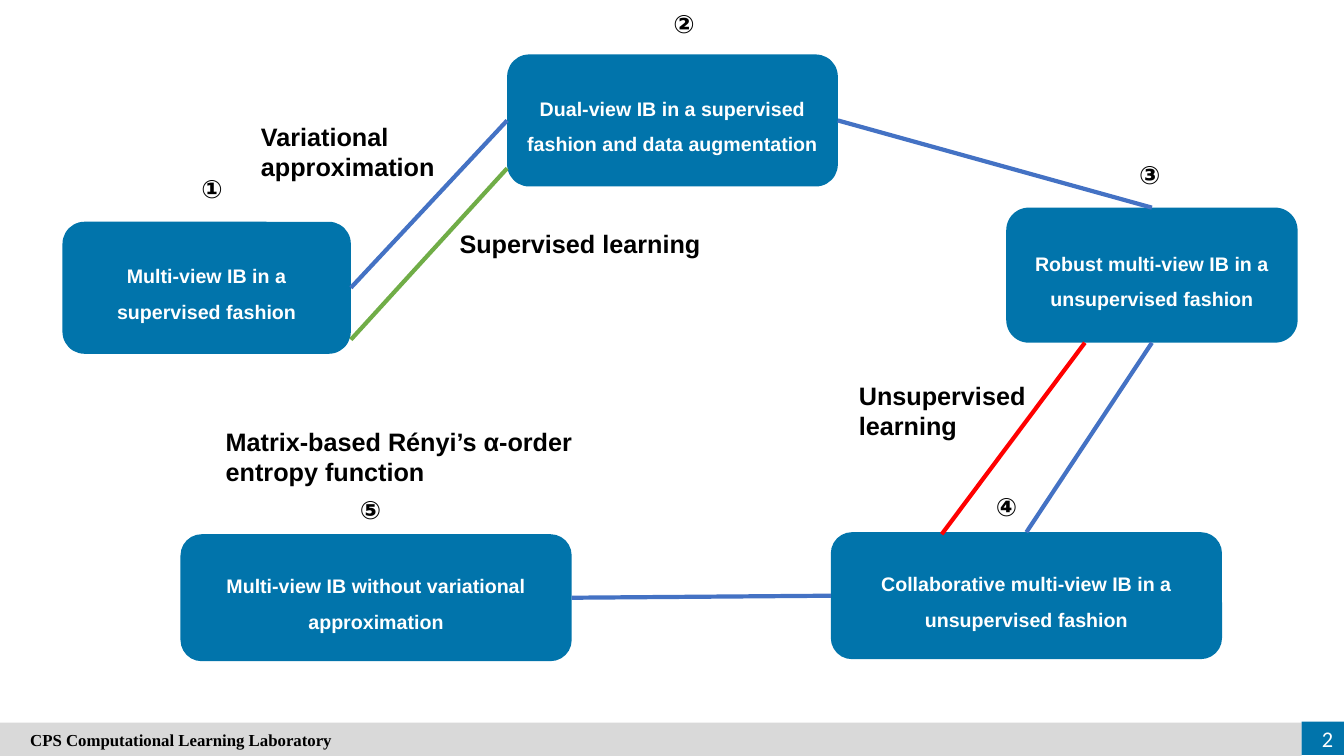
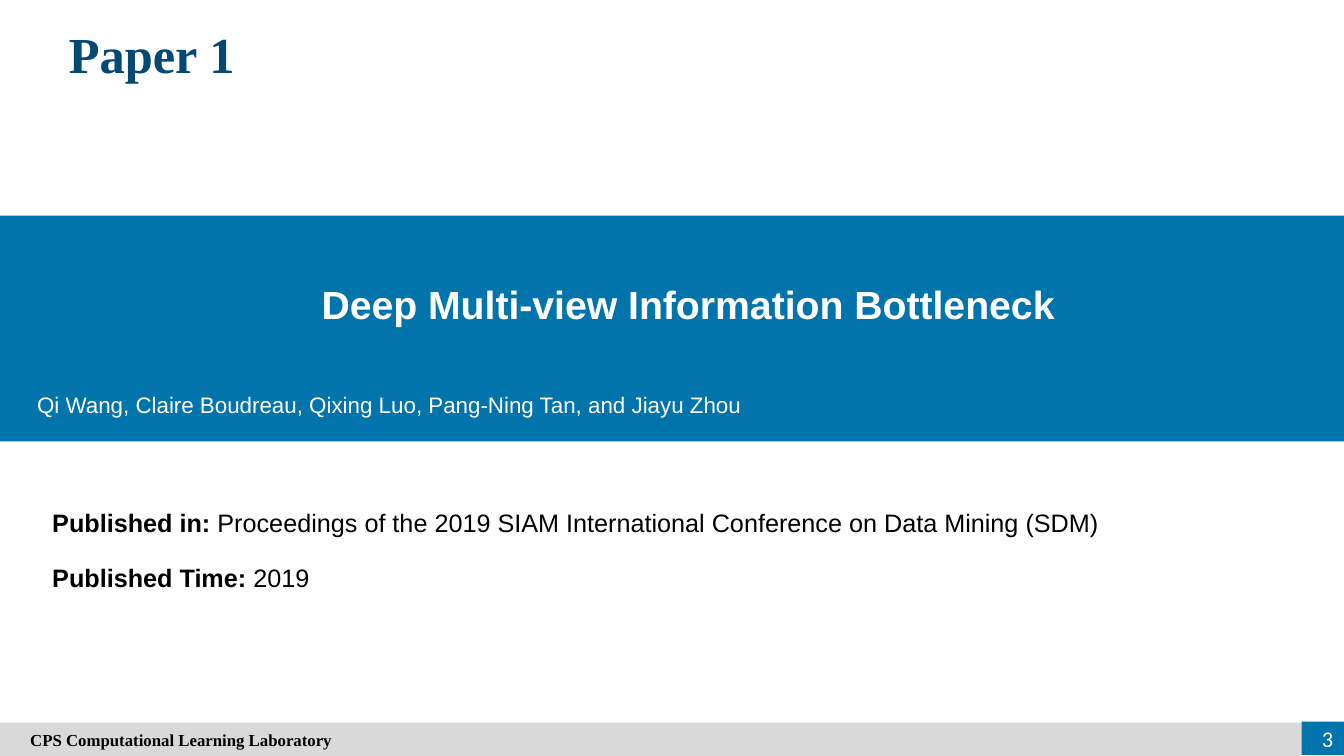
from dataclasses import dataclass
from pptx import Presentation
from pptx.dml.color import RGBColor
from pptx.enum.shapes import MSO_CONNECTOR, MSO_SHAPE
from pptx.enum.text import MSO_ANCHOR, PP_ALIGN
from pptx.oxml.ns import qn
from pptx.util import Pt
from lxml import etree

PX = 9144
WIDE, HIGH = 1333, 750
RECT, ROUND = MSO_SHAPE.RECTANGLE, MSO_SHAPE.ROUNDED_RECTANGLE
LINE = MSO_CONNECTOR.STRAIGHT
LEFT, MID, RIGHT = PP_ALIGN.LEFT, PP_ALIGN.CENTER, PP_ALIGN.RIGHT
TOP, CENTER = MSO_ANCHOR.TOP, MSO_ANCHOR.MIDDLE
NORTH, WEST, SOUTH, EAST = range(4)


@dataclass(frozen=True)
class Theme:
    blue: str = "0174AB"
    navy: str = "044875"
    gray: str = "D9D9D9"
    white: str = "FFFFFF"
    black: str = "000000"
    link: str = "4472C4"
    green: str = "70AD47"
    red: str = "FF0000"
    sans: str = "Arial"
    serif: str = "Times New Roman"
    num: str = "Calibri"
    title: int = 36
    head: int = 28
    label: int = 18
    names: int = 16
    node: int = 14
    foot: int = 12
    stroke: int = 3


T = Theme()


def emu(*vals):
    return [val * PX for val in vals]


def write(shape, text, size=T.label, color=T.black, font=T.sans, bold=False,
          align=LEFT, anchor=TOP, space=1.0, wrap=True, inset=10):
    frame = shape.text_frame
    frame.word_wrap = wrap
    frame.vertical_anchor = anchor
    frame.margin_left = inset * PX
    para = frame.paragraphs[0]
    para.alignment = align
    para.line_spacing = space
    parts = [(text, bold)] if isinstance(text, str) else text
    for words, heavy in parts:
        run = para.add_run()
        run.text = words
        run.font.name = font
        run.font.size = Pt(size)
        run.font.bold = heavy
        run.font.color.rgb = RGBColor.from_string(color)


def note(slide, box, text, **style):
    write(slide.shapes.add_textbox(*emu(*box)), text, **style)


def block(slide, box, fill, kind=RECT):
    shape = slide.shapes.add_shape(kind, *emu(*box))
    shape.shadow.inherit = False
    shape.fill.solid()
    shape.fill.fore_color.rgb = RGBColor.from_string(fill)
    shape.line.fill.background()
    return shape


def node(slide, box, text):
    shape = block(slide, box, T.blue, ROUND)
    write(shape, text, size=T.node, color=T.white, bold=True, align=MID,
          anchor=CENTER, space=1.5)
    return shape


def line(slide, ends, color):
    wire = slide.shapes.add_connector(LINE, *emu(*ends))
    wire.line.color.rgb = RGBColor.from_string(color)
    wire.line.width = Pt(T.stroke)
    etree.SubElement(wire._element.spPr, qn("a:effectLst"))
    return wire


def join(slide, start, out, end, into):
    wire = line(slide, (0, 0, 0, 0), T.link)
    wire.begin_connect(start, out)
    wire.end_connect(end, into)


def footer(slide, num):
    bar = block(slide, (0, 717, 1291, 33), T.gray)
    write(bar, "CPS Computational Learning Laboratory", size=T.foot,
          font=T.serif, bold=True, anchor=CENTER, inset=30)
    block(slide, (1291, 716, 42, 33), T.blue)
    note(slide, (1269, 713, 63, 40), str(num), size=T.names, color=T.white,
         font=T.num, align=RIGHT, anchor=CENTER)


def roadmap(slide):
    multi, dual, robust, collab, matrix = [
        node(slide, box, text) for box, text in (
            ((62, 220, 286, 131), "Multi-view IB in a supervised fashion"),
            ((503, 54, 328, 131),
             "Dual-view IB in a supervised fashion and data augmentation"),
            ((998, 206, 289, 134),
             "Robust multi-view IB in a unsupervised fashion"),
            ((824, 528, 388, 126),
             "Collaborative multi-view IB in a unsupervised fashion"),
            ((179, 530, 388, 126),
             "Multi-view IB without variational approximation"),
        )]
    spots = (190, 167), (658, 3), (1120, 153), (978, 483), (347, 486)
    for mark, spot in zip("①②③④⑤", spots):
        note(slide, (*spot, 45, 40), mark, bold=True, wrap=False)

    join(slide, multi, EAST, dual, WEST)
    join(slide, dual, EAST, robust, NORTH)
    join(slide, robust, SOUTH, collab, NORTH)
    join(slide, matrix, EAST, collab, WEST)
    line(slide, (1076, 340, 934, 530), T.red)
    line(slide, (348, 337, 503, 167), T.green)

    for box, text in (
        ((249, 115, 280, 71), "Variational approximation"),
        ((214, 418, 388, 71), "Matrix-based Rényi’s α-order entropy function"),
        ((446, 222, 280, 40), "Supervised learning"),
        ((842, 372, 280, 71), "Unsupervised learning"),
    ):
        note(slide, box, text, bold=True)


def paper(slide):
    block(slide, (0, 214, WIDE, 224), T.blue)
    note(slide, (16, 254, WIDE, 72), "Deep Multi-view Information Bottleneck",
         size=T.head, color=T.white, bold=True, align=MID, anchor=CENTER,
         space=1.5)
    note(slide, (27, 383, 1290, 37),
         "Qi Wang, Claire Boudreau, Qixing Luo, Pang-Ning Tan, and Jiayu Zhou",
         size=T.names, color=T.white)
    facts = (
        ("Published in:", " Proceedings of the 2019 SIAM International "
         "Conference on Data Mining (SDM)"),
        ("Published Time:", " 2019"),
    )
    for row, (key, fact) in enumerate(facts):
        note(slide, (42, 498 + 55 * row, 1207, 40),
             [(key, True), (fact, False)])
    note(slide, (38, 18, 225, 71), "Paper 1", size=T.title, color=T.navy,
         font=T.serif, bold=True, align=MID)


def main():
    deck = Presentation()
    deck.slide_width, deck.slide_height = emu(WIDE, HIGH)
    blank = deck.slide_layouts[6]
    for num, draw in enumerate((roadmap, paper), 2):
        slide = deck.slides.add_slide(blank)
        footer(slide, num)
        draw(slide)
    deck.save("out.pptx")


if __name__ == "__main__":
    main()
